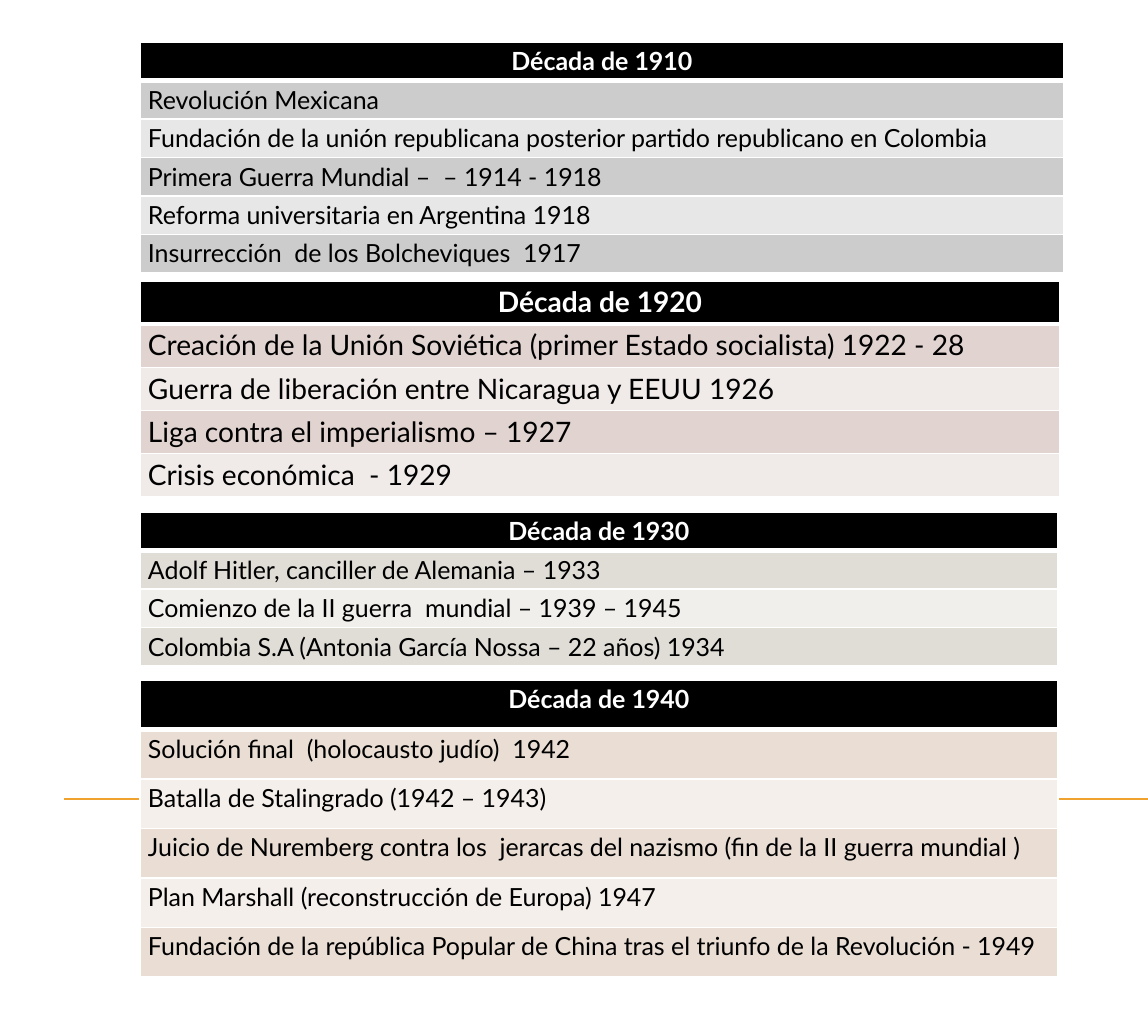
import pptx
import pptx.dml.color
import pptx.enum.shapes
import pptx.enum.text
import pptx.oxml
import pptx.oxml.ns
import pptx.util
from lxml import etree

PX = 8128  # EMU per px, 112.5 px to the inch
SLIDE_WIDTH, SLIDE_HEIGHT = 1148, 1024
TABLE_LEFT = 140
FONT = "Lato"

COLORS = {
    "header": "000000",
    "header_text": "FFFFFF",
    "text": "000000",
    "border": "FFFFFF",
    "rule": "F0A22E",
    "1910": ("CCCCCC", "E7E7E7"),
    "1920": ("E1D3D0", "F0EAE9"),
    "1930": ("E0DDD6", "F0EFEB"),
    "1940": ("E9DDD4", "F5EFEB"),
}

# decade, top, width, height (px), text size (pt), events
DECADES = [
    ("1910", 42, 924, 231, 16, [
        "Revolución Mexicana",
        "Fundación de la unión republicana posterior partido republicano en Colombia",
        "Primera Guerra Mundial –  – 1914 - 1918",
        "Reforma universitaria en Argentina 1918",
        "Insurrección  de los Bolcheviques  1917",
    ]),
    ("1920", 281, 920, 216, 18, [
        "Creación de la Unión Soviética (primer Estado socialista) 1922 - 28",
        "Guerra de liberación entre Nicaragua y EEUU 1926",
        "Liga contra el imperialismo – 1927",
        "Crisis económica  - 1929",
    ]),
    ("1930", 512, 918, 154, 16, [
        "Adolf Hitler, canciller de Alemania – 1933",
        "Comienzo de la II guerra  mundial – 1939 – 1945",
        "Colombia S.A (Antonia García Nossa – 22 años) 1934",
    ]),
    ("1940", 680, 918, 297, 16, [
        "Solución final  (holocausto judío)  1942",
        "Batalla de Stalingrado (1942 – 1943)",
        "Juicio de Nuremberg contra los  jerarcas del nazismo (fin de la II guerra mundial )",
        "Plan Marshall (reconstrucción de Europa) 1947",
        "Fundación de la república Popular de China tras el triunfo de la Revolución - 1949",
    ]),
]


def px(length):
    return pptx.util.Emu(length * PX)


def rgb(color):
    return pptx.dml.color.RGBColor.from_string(color)


def set_borders(cell, top, bottom):
    """Draw the four cell borders; top and bottom widths are in points."""
    properties = cell._tc.get_or_add_tcPr()
    for side, points in (("L", 1), ("R", 1), ("T", top), ("B", bottom)):
        border = etree.SubElement(properties, pptx.oxml.ns.qn(f"a:ln{side}"),
                                  w=str(pptx.util.Pt(points)))
        fill = etree.SubElement(border, pptx.oxml.ns.qn("a:solidFill"))
        etree.SubElement(fill, pptx.oxml.ns.qn("a:srgbClr"), val=COLORS["border"])


def fill_cell(cell, text, size, background, color, header=False):
    cell.margin_left = cell.margin_right = px(8)
    cell.margin_top = cell.margin_bottom = px(4)
    cell.fill.solid()
    cell.fill.fore_color.rgb = rgb(background)
    paragraph = cell.text_frame.paragraphs[0]
    paragraph.text = text
    align = pptx.enum.text.PP_ALIGN
    paragraph.alignment = align.CENTER if header else align.LEFT
    paragraph.font.name = FONT
    paragraph.font.size = pptx.util.Pt(size)
    paragraph.font.bold = header
    paragraph.font.color.rgb = rgb(color)


def add_decade(slide, decade, top, width, height, size, events):
    row_count = len(events) + 1
    timeline = slide.shapes.add_table(row_count, 1, px(TABLE_LEFT), px(top),
                                      px(width), px(height)).table
    for index, text in enumerate([f"Década de {decade}"] + events):
        timeline.rows[index].height = px(height) // row_count
        cell = timeline.cell(index, 0)
        # A thick rule parts the header from the first event
        set_borders(cell, 3 if index == 1 else 1, 3 if index == 0 else 1)
        if index == 0:
            fill_cell(cell, text, size, COLORS["header"], COLORS["header_text"], True)
        else:
            band = COLORS[decade][(index - 1) % 2]
            fill_cell(cell, text, size, band, COLORS["text"])


def add_rule(slide, left, right, y):
    rule = slide.shapes.add_connector(pptx.enum.shapes.MSO_CONNECTOR.STRAIGHT,
                                      px(left), px(y), px(right), px(y))
    rule.line.color.rgb = rgb(COLORS["rule"])
    rule.line.width = pptx.util.Pt(0.75)
    etree.SubElement(rule._element.spPr, pptx.oxml.ns.qn("a:effectLst"))


def main():
    presentation = pptx.Presentation()
    presentation.slide_width = px(SLIDE_WIDTH)
    presentation.slide_height = px(SLIDE_HEIGHT)
    slide = presentation.slides.add_slide(presentation.slide_layouts[6])

    # Rule behind the tables
    add_rule(slide, 64, SLIDE_WIDTH, 799)

    # One table per decade
    for decade in DECADES:
        add_decade(slide, *decade)

    presentation.save("out.pptx")


if __name__ == "__main__":
    main()
